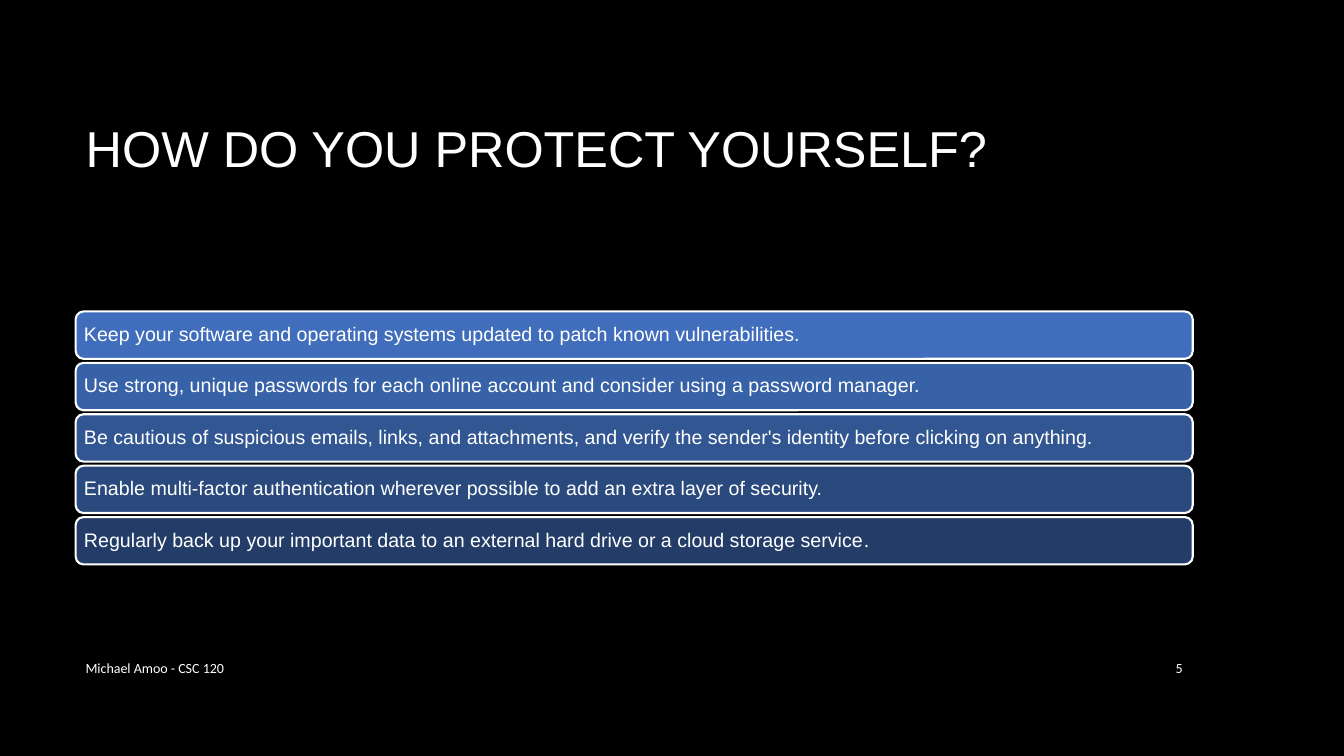
import pptx
import pptx.util
import pptx.dml.color
import pptx.enum.shapes
import pptx.enum.text
import pptx.oxml.ns
import lxml.etree

TITLE = "HOW DO YOU PROTECT YOURSELF?"
TIPS = [
    ["Keep your software and operating systems updated to patch known vulnerabilities."],
    ["Use strong, unique passwords for each online account and consider using a password manager."],
    ["Be cautious of suspicious emails, links, and attachments, and verify the sender's identity before clicking on anything."],
    ["Enable multi-factor authentication wherever possible to add an extra layer of security."],
    ["Regularly back up your important data to an external hard drive or a cloud storage service", "."],
]
AUTHOR = "Michael Amoo - CSC 120"
PAGE_NUMBER = "5"

BLACK = pptx.dml.color.RGBColor(0x00, 0x00, 0x00)
WHITE = pptx.dml.color.RGBColor(0xFF, 0xFF, 0xFF)
BLUE = pptx.dml.color.RGBColor(0x47, 0x7B, 0xD1)

WIDTH, HEIGHT = 13.33, 7.5
LEFT, CONTENT_WIDTH = 0.75, 11.08
TIPS_TOP, TIP_HEIGHT, TIP_PITCH = 3.09, 0.47, 0.51
FOOTER_TOP, FOOTER_HEIGHT = 6.42, 0.41
AUTHOR_WIDTH, NUMBER_WIDTH = 8.56, 0.6

ALIGN = pptx.enum.text.PP_ALIGN


def inches(*lengths):
    return [pptx.util.Inches(length) for length in lengths]


def write(shape, pieces, size, fonts, align=ALIGN.LEFT, insets=(0.1, 0.05), spacing=1.0):
    frame = shape.text_frame
    frame.word_wrap = True
    frame.auto_size = pptx.enum.text.MSO_AUTO_SIZE.NONE
    frame.vertical_anchor = pptx.enum.text.MSO_ANCHOR.MIDDLE
    frame.margin_left = frame.margin_right = pptx.util.Inches(insets[0])
    frame.margin_top = frame.margin_bottom = pptx.util.Inches(insets[1])
    paragraph = frame.paragraphs[0]
    paragraph.alignment = align
    paragraph.line_spacing = spacing
    for piece, font in zip(pieces, fonts):
        run = paragraph.add_run()
        run.text = piece
        run.font.name = font
        run.font.size = pptx.util.Pt(size)
        run.font.color.rgb = WHITE


def add_tip(slide, pieces, top, opacity):
    tip = slide.shapes.add_shape(
        pptx.enum.shapes.MSO_SHAPE.ROUNDED_RECTANGLE,
        *inches(LEFT, top, CONTENT_WIDTH, TIP_HEIGHT))
    tip.shadow.inherit = False
    tip.fill.solid()
    tip.fill.fore_color.rgb = BLUE
    tip.line.color.rgb = WHITE
    tip.line.width = pptx.util.Pt(1.5)
    qn = pptx.oxml.ns.qn
    colour = tip.fill._xPr.find(qn("a:solidFill")).find(qn("a:srgbClr"))
    lxml.etree.SubElement(colour, qn("a:alpha")).set("val", str(opacity * 1000))
    write(tip, pieces, 14, ("Arial", "Calibri"), insets=(0.06, 0.06), spacing=0.9)


def main():
    deck = pptx.Presentation()
    deck.slide_width, deck.slide_height = inches(WIDTH, HEIGHT)
    slide = deck.slides.add_slide(deck.slide_layouts[5])
    slide.background.fill.solid()
    slide.background.fill.fore_color.rgb = BLACK

    title = slide.shapes.title
    title.left, title.top, title.width, title.height = inches(LEFT, 0.67, CONTENT_WIDTH, 1.59)
    write(title, [TITLE], 36, ["Arial"])

    for row, pieces in enumerate(TIPS):
        add_tip(slide, pieces, TIPS_TOP + row * TIP_PITCH, 90 - 10 * row)

    number_left = LEFT + CONTENT_WIDTH - NUMBER_WIDTH
    for words, left, width, align in (
        (AUTHOR, LEFT, AUTHOR_WIDTH, ALIGN.LEFT),
        (PAGE_NUMBER, number_left, NUMBER_WIDTH, ALIGN.RIGHT),
    ):
        footer = slide.shapes.add_textbox(*inches(left, FOOTER_TOP, width, FOOTER_HEIGHT))
        write(footer, [words], 10, ["Calibri"], align=align)

    deck.save("out.pptx")


if __name__ == "__main__":
    main()
